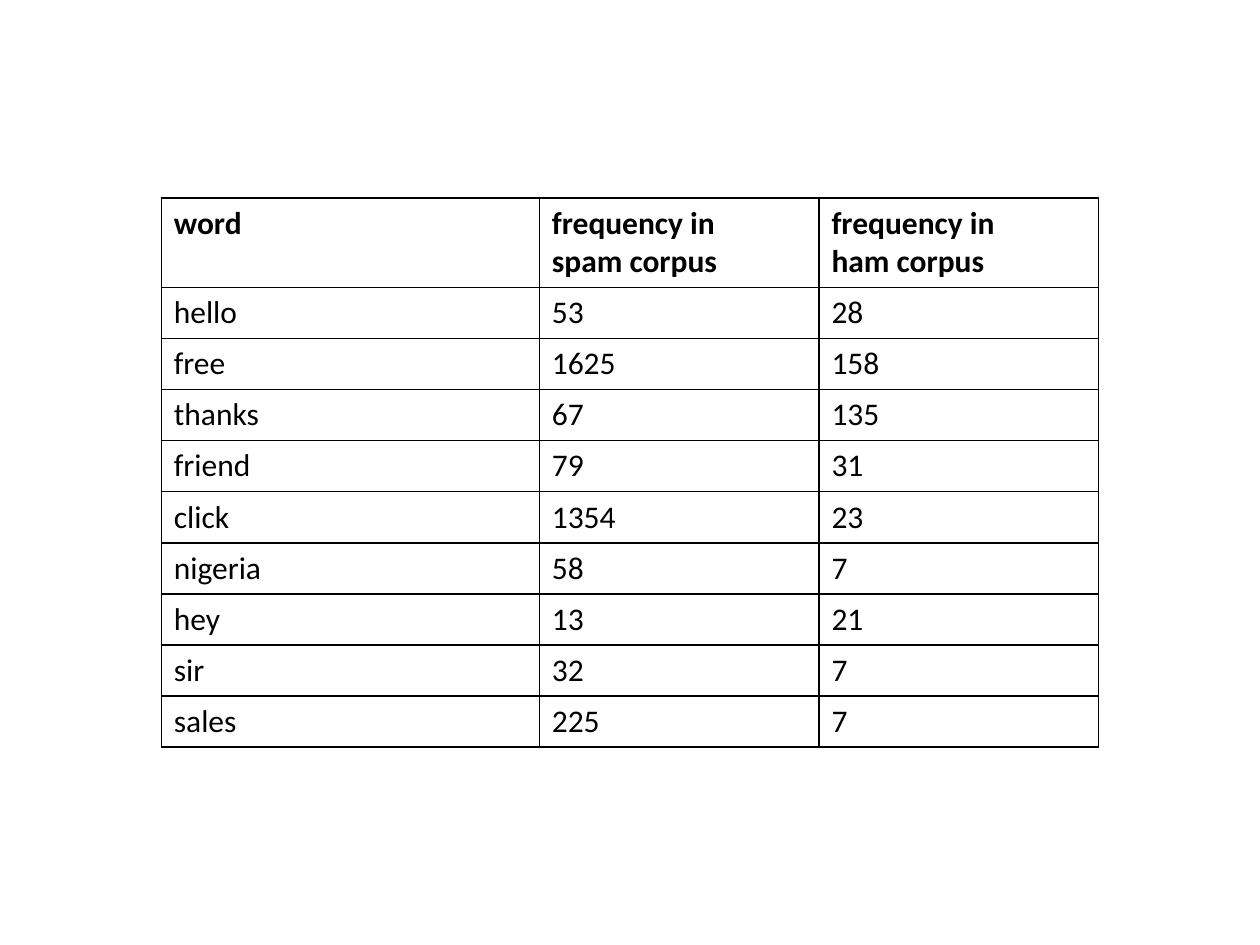
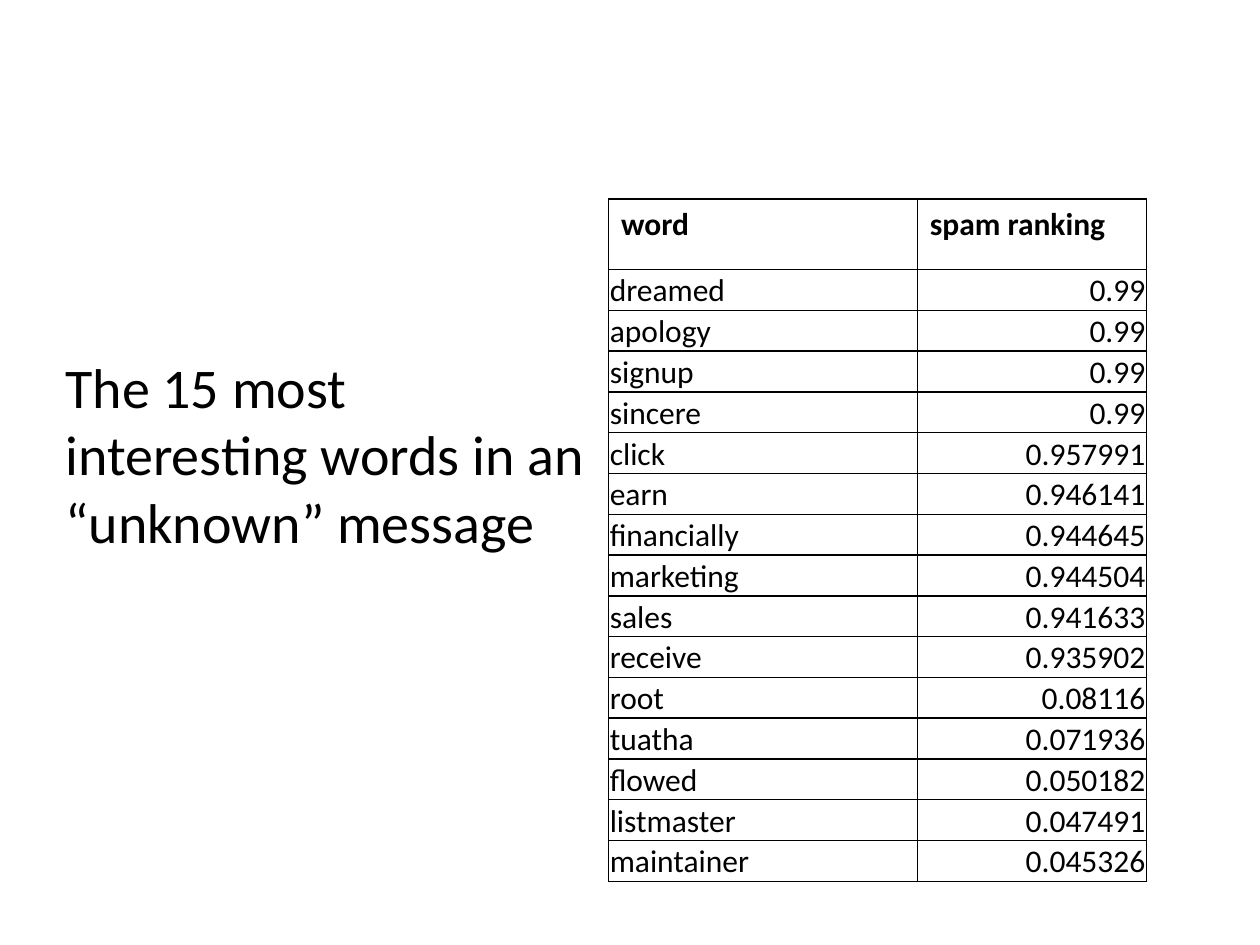
import pptx
import pptx.util
import pptx.dml.color
import pptx.enum.text
import pptx.oxml
from pptx.oxml import ns

Inches, Pt = pptx.util.Inches, pptx.util.Pt
PP_ALIGN, ANCHOR = pptx.enum.text.PP_ALIGN, pptx.enum.text.MSO_ANCHOR
BLACK = pptx.dml.color.RGBColor(0x00, 0x00, 0x00)
WHITE = pptx.dml.color.RGBColor(0xFF, 0xFF, 0xFF)
FONT = "Calibri"


def write_lines(frame, text, size, bold=False, align=PP_ALIGN.LEFT):
    """Put each line of text in its own paragraph."""
    for number, line in enumerate(text.split("\n")):
        paragraph = frame.paragraphs[0] if number == 0 else frame.add_paragraph()
        paragraph.alignment = align
        run = paragraph.add_run()
        run.text = line
        run.font.name, run.font.size, run.font.bold = FONT, Pt(size), bold
        run.font.color.rgb = BLACK


def add_ruled_table(slide, rows, left, top, widths, header_height, height, compact=False):
    """Add a black-ruled table; compact body cells are tight, with figures at the right."""
    table = slide.shapes.add_table(len(rows), len(widths), Inches(left), Inches(top),
                                   Inches(sum(widths)), Inches(height)).table
    table.first_row = table.horz_banding = False
    for column, width in zip(table.columns, widths):
        column.width = Inches(width)
    body_height = (height - header_height) / (len(rows) - 1)
    for r, values in enumerate(rows):
        table.rows[r].height = Inches(body_height if r else header_height)
        for c, value in enumerate(values):
            cell = table.cell(r, c)
            tight = compact and r > 0
            if tight:
                cell.vertical_anchor = ANCHOR.BOTTOM
                cell.margin_left = cell.margin_top = cell.margin_right = Inches(0.01)
                cell.margin_bottom = 0
            properties = cell._tc.get_or_add_tcPr()
            for side in ("lnL", "lnR", "lnT", "lnB"):
                properties.append(pptx.oxml.parse_xml(
                    f'<a:{side} {ns.nsdecls("a")} w="{Pt(1)}"><a:solidFill>'
                    f'<a:srgbClr val="{BLACK}"/></a:solidFill></a:{side}>'))
            cell.fill.solid()
            cell.fill.fore_color.rgb = WHITE
            align = PP_ALIGN.RIGHT if tight and c > 0 else PP_ALIGN.LEFT
            write_lines(cell.text_frame, value, 18, bold=r == 0, align=align)


word_frequencies = [
    ("word", "frequency in\nspam corpus", "frequency in\nham corpus"),
    ("hello", "53", "28"),
    ("free", "1625", "158"),
    ("thanks", "67", "135"),
    ("friend", "79", "31"),
    ("click", "1354", "23"),
    ("nigeria", "58", "7"),
    ("hey", "13", "21"),
    ("sir", "32", "7"),
    ("sales", "225", "7"),
]
spam_rankings = [
    ("word", "spam ranking"),
    ("dreamed", "0.99"),
    ("apology", "0.99"),
    ("signup", "0.99"),
    ("sincere", "0.99"),
    ("click", "0.957991"),
    ("earn", "0.946141"),
    ("financially", "0.944645"),
    ("marketing", "0.944504"),
    ("sales", "0.941633"),
    ("receive", "0.935902"),
    ("root", "0.08116"),
    ("tuatha", "0.071936"),
    ("flowed", "0.050182"),
    ("listmaster", "0.047491"),
    ("maintainer", "0.045326"),
]

deck = pptx.Presentation()
deck.slide_width, deck.slide_height = Inches(10), Inches(7.5)
blank = deck.slide_layouts[6]

# Word frequencies in the two corpora
frequency_slide = deck.slides.add_slide(blank)
add_ruled_table(frequency_slide, word_frequencies, 1.28, 1.57, (3, 2.22, 2.22), 0.71, 4.36)

# Most interesting words of one message
ranking_slide = deck.slides.add_slide(blank)
claim = ranking_slide.shapes.add_textbox(Inches(0.42), Inches(2.75),
                                         Inches(9.25), Inches(1.72)).text_frame
claim.word_wrap = True
claim.auto_size = pptx.enum.text.MSO_AUTO_SIZE.SHAPE_TO_FIT_TEXT
write_lines(claim, "The 15 most\ninteresting words in an\n“unknown” message", 32)
add_ruled_table(ranking_slide, spam_rankings, 4.83, 1.58, (2.45, 1.82), 0.56, 5.42, compact=True)

deck.save("out.pptx")
